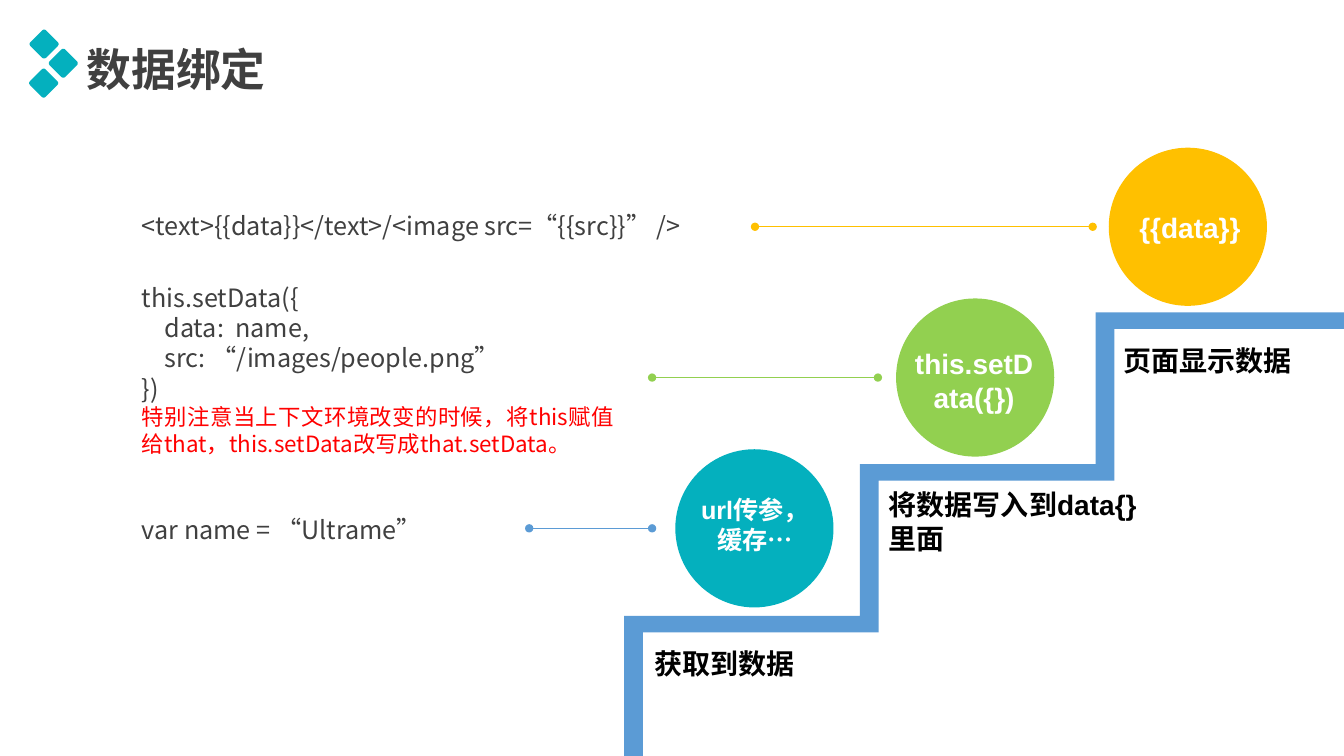
from lxml import etree
from pptx import Presentation, util as u
from pptx.dml.color import RGBColor
from pptx.enum import lang, shapes, text
from pptx.oxml.ns import qn

Pt = u.Pt
HUE = {"teal": "04B0BE", "green": "92D050", "gold": "FFC000", "blue": "5B9BD5",
       "dark": "404040", "red": "FF0000", "white": "FFFFFF", "black": "000000"}
SANS, ARIAL = "Noto Sans CJK SC", "Arial"
WIDE, HIGH = 960, 540

TITLE = "数据绑定"
# Styles: font, size, colour, bold, alignment
HEAD = (SANS, 32, "dark", True, "LEFT")
CODE = (SANS, 18, "dark", False, "JUSTIFY")
NOTE = (SANS, 16, "red", False, "JUSTIFY")
BALL = (ARIAL, 20, "white", True, "CENTER")
SMALL = (ARIAL, 18, "white", True, "CENTER")
STEP = (ARIAL, 20, "black", True, "LEFT")

# Bottom to top: circle colour, circle left, line colour, line right, line left
LEVELS = [("teal", 482.4, "blue", 465.8, 378),
          ("green", 640.1, "green", 627.1, 465.8),
          ("gold", 792, "gold", 780.5, 539.3)]

# Box (left, top, width, height), wrap, paragraphs (text, style)
TEXTS = [
    ((54.7, 25.9, 470, 46), True, [(TITLE, HEAD)]),
    ((794.9, 146.9, 110.2, 31.5), True, [("{{data}}", BALL)]),
    ((642.2, 244.1, 107.3, 55.7), True, [("this.setData({})", BALL)]),
    ((474.5, 349.2, 129.6, 50.9), True, [("url传参，", SMALL), ("缓存…", SMALL)]),
    ((94.3, 363.6, 266.4, 29.1), True, [("var name = “Ultrame”", CODE)]),
    ((94.3, 198, 351.4, 133.4), True, [
        ("this.setData({", CODE),
        ("    data:  name,", CODE),
        ("    src: “/images/people.png”", CODE),
        ("})", CODE),
        ("特别注意当上下文环境改变的时候，将this赋值给that，"
         "this.setData改写成that.setData。", NOTE)]),
    ((94.3, 146.9, 444.2, 29.1), True,
     [("<text>{{data}}</text>/<image src=“{{src}}” />", CODE)]),
    ((460.1, 457.9, 115.9, 31.5), False, [("获取到数据", STEP)]),
    ((627.8, 344.9, 198, 55.7), False, [("将数据写入到data{}", STEP), ("里面", STEP)]),
    ((795.6, 241.9, 136.8, 31.5), False, [("页面显示数据", STEP)]),
]

GEMS = [(31.5, 31.5), (45.2, 45.2), (31.2, 59.4)]  # centres
GEM, DISC = 15.8, 113
BASE, RISE = 377.4, 107.7  # centre of the lowest circle, climb per level
LEFT, TOP, RUN, CLIMB = 445.8, 440, 168.4, 108.4  # lowest step
POST, TREAD = 13.4, 11.8  # stair thickness

deck = Presentation()
deck.slide_width, deck.slide_height = Pt(WIDE), Pt(HIGH)
slide = deck.slides.add_slide(deck.slide_layouts[6])
pool = slide.shapes


def rgb(name):
    return RGBColor.from_string(HUE[name])


def paint(shape, name):
    shape.shadow.inherit = False
    shape.fill.solid()
    shape.fill.fore_color.rgb = rgb(name)
    shape.line.fill.background()


def add_gem(x, y):
    half = GEM / 2
    gem = pool.add_shape(shapes.MSO_SHAPE.ROUNDED_RECTANGLE,
                         Pt(x - half), Pt(y - half), Pt(GEM), Pt(GEM))
    gem.adjustments[0] = 0.12
    gem.rotation = 45
    paint(gem, "teal")


def add_stair():
    """Draw the upper edge going up, then the lower edge coming back."""
    upper, lower = [(LEFT, HIGH)], [(LEFT + POST, HIGH)]
    for i in range(len(LEVELS)):
        x, y = LEFT + i * RUN, TOP - i * CLIMB
        end = x + RUN if i < len(LEVELS) - 1 else WIDE
        upper += [(x, y), (end, y)]
        lower += [(x + POST, y + TREAD), (min(end + POST, WIDE), y + TREAD)]
    edge = [(Pt(x), Pt(y)) for x, y in upper + lower[::-1]]
    path = pool.build_freeform(*edge[0])
    path.add_line_segments(edge[1:], close=True)
    paint(path.convert_to_shape(), "blue")


def add_link(start, end, y, name):
    link = pool.add_connector(shapes.MSO_CONNECTOR.STRAIGHT,
                              Pt(start), Pt(y), Pt(end), Pt(y))
    link.line.color.rgb = rgb(name)
    link.line.width = Pt(1)
    line = link.line._get_or_add_ln()
    for tag in ("a:headEnd", "a:tailEnd"):
        etree.SubElement(line, qn(tag)).set("type", "oval")
    etree.SubElement(link._element.spPr, qn("a:effectLst"))


def add_text(box, wrap, lines):
    frame = pool.add_textbox(*map(Pt, box)).text_frame
    frame.word_wrap = wrap
    frame.auto_size = text.MSO_AUTO_SIZE.SHAPE_TO_FIT_TEXT
    for i, (words, (face, size, name, bold, align)) in enumerate(lines):
        para = frame.add_paragraph() if i else frame.paragraphs[0]
        para.alignment = text.PP_ALIGN[align]
        run = para.add_run()
        run.text = words
        font = run.font
        font.size, font.bold, font.name = Pt(size), bold, face
        font.color.rgb = rgb(name)
        font.language_id = lang.MSO_LANGUAGE_ID.SIMPLIFIED_CHINESE
        east = etree.SubElement(run._r.get_or_add_rPr(), qn("a:ea"))
        east.set("typeface", SANS)


for spot in GEMS:
    add_gem(*spot)
add_stair()
for i, (tint, x, hue, start, end) in enumerate(LEVELS):
    mid = BASE - i * RISE
    disc = pool.add_shape(shapes.MSO_SHAPE.OVAL,
                          Pt(x), Pt(mid - DISC / 2), Pt(DISC), Pt(DISC))
    paint(disc, tint)
    add_link(start, end, mid, hue)
for item in TEXTS:
    add_text(*item)

deck.save("out.pptx")
